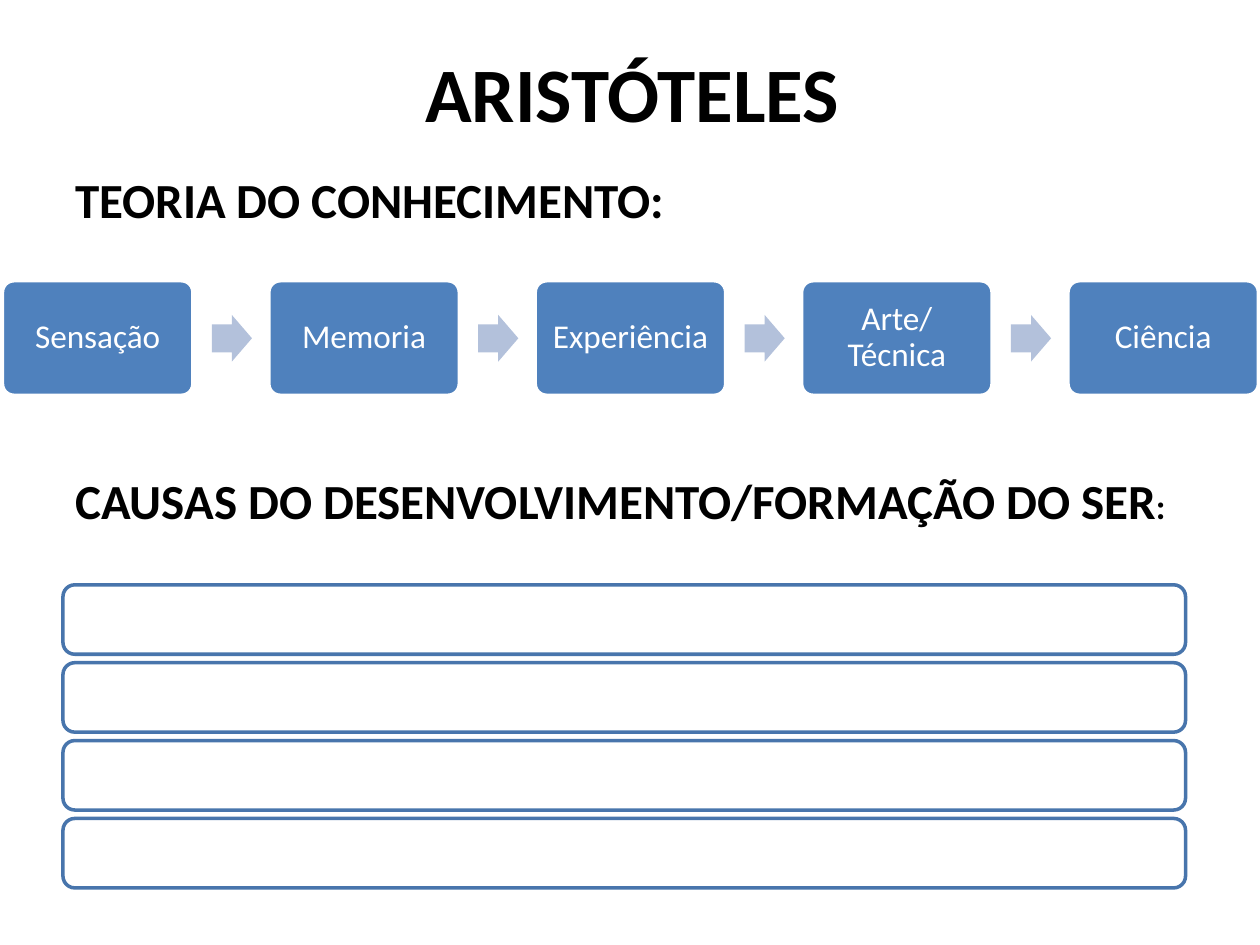
from dataclasses import dataclass

from pptx import Presentation
from pptx.dml.color import RGBColor as Rgb
from pptx.enum.shapes import MSO_SHAPE as Kind
from pptx.enum.text import MSO_ANCHOR as Anchor, PP_ALIGN as Align
from pptx.shapes.autoshape import Shape
from pptx.slide import Slide
from pptx.util import Cm, Pt

HUES = {"black": "000000", "white": "FFFFFF", "blue": "4F81BD",
        "pale": "B3C1DB", "edge": "4875AC"}
STEPS = ["Sensação", "Memoria", "Experiência", "Arte/ Técnica", "Ciência"]
STEP_GAP = 5.37
ROWS = 4
ROW_GAP = 1.57


@dataclass
class Box:
    """Position and size in centimetres."""
    left: float
    top: float
    width: float
    height: float

    def shift(self, right: float = 0, down: float = 0) -> "Box":
        """Return the box moved by the given lengths."""
        return Box(self.left + right, self.top + down, self.width, self.height)

    def spans(self) -> list[Cm]:
        """Return the four lengths for python-pptx."""
        return [Cm(n) for n in (self.left, self.top, self.width, self.height)]


@dataclass
class Words:
    """A run of text and its size in points."""
    text: str
    size: int
    bold: bool = True


@dataclass
class Label:
    """A text and its place on the slide."""
    box: Box
    words: list[Words]
    align: Align = Align.LEFT
    anchor: Anchor = Anchor.TOP


@dataclass
class Look:
    """Preset, fill, line and adjustments of a shape."""
    kind: Kind
    fill: str
    line: str | None
    adjust: tuple[float, ...]


STEP = Look(Kind.ROUNDED_RECTANGLE, "blue", "white", (0.1,))
ARROW = Look(Kind.RIGHT_ARROW, "pale", None, (0.6, 0.5))
ROW = Look(Kind.ROUNDED_RECTANGLE, "white", "edge", (0.17,))

STEP_BOX = Box(0.05, 5.66, 3.84, 2.31)
ARROW_BOX = Box(4.27, 6.35, 0.81, 0.94)
ROW_BOX = Box(1.27, 11.79, 22.63, 1.4)

LABELS = [
    Label(Box(1.32, 0.64, 22.86, 2.41), [Words("ARISTÓTELES", 44)],
          Align.CENTER, Anchor.MIDDLE),
    Label(Box(1.27, 3.3, 14.6, 1.45), [Words("TEORIA DO CONHECIMENTO:", 28)]),
    Label(Box(1.27, 9.37, 22.86, 1.45),
          [Words("CAUSAS DO DESENVOLVIMENTO/FORMAÇÃO DO SER", 28),
           Words(":", 20)]),
]


def tint(name: str) -> Rgb:
    """Look up a named colour."""
    return Rgb.from_string(HUES[name])


def apply(target: object, form: dict) -> None:
    """Set each attribute in the format on the target."""
    for name, value in form.items():
        setattr(target, name, value)


def write(shape: Shape, words: list[Words], hue: str, frame: dict,
          para: dict) -> None:
    """Fill a shape with one formatted paragraph."""
    body = shape.text_frame
    apply(body, {"word_wrap": True, **frame})
    line = body.paragraphs[0]
    apply(line, para)
    for word in words:
        run = line.add_run()
        run.text = word.text
        apply(run.font, {"name": "Calibri", "size": Pt(word.size),
                         "bold": word.bold})
        run.font.color.rgb = tint(hue)


def draw(slide: Slide, box: Box, look: Look) -> Shape:
    """Add a preset shape with its look."""
    shape = slide.shapes.add_shape(look.kind, *box.spans())
    shape.shadow.inherit = False
    for spot, value in enumerate(look.adjust):
        shape.adjustments[spot] = value
    shape.fill.solid()
    shape.fill.fore_color.rgb = tint(look.fill)
    if look.line:
        shape.line.color.rgb = tint(look.line)
        shape.line.width = Pt(2)
    else:
        shape.line.fill.background()
    return shape


def label(slide: Slide, item: Label) -> None:
    """Add a heading."""
    shape = slide.shapes.add_textbox(*item.box.spans())
    write(shape, item.words, "black", {"vertical_anchor": item.anchor},
          {"alignment": item.align})


def chain(slide: Slide) -> None:
    """Draw the steps with an arrow between each pair."""
    sides = ("left", "right", "top", "bottom")
    frame = {f"margin_{side}": Cm(0.26) for side in sides}
    frame["vertical_anchor"] = Anchor.MIDDLE
    para = {"alignment": Align.CENTER, "line_spacing": 0.9}
    for spot, name in enumerate(STEPS):
        if spot:
            draw(slide, ARROW_BOX.shift(right=(spot - 1) * STEP_GAP), ARROW)
        shape = draw(slide, STEP_BOX.shift(right=spot * STEP_GAP), STEP)
        write(shape, [Words(name, 19, False)], "white", frame, para)


def main() -> None:
    """Build and save the slide."""
    deck = Presentation()
    apply(deck, {"slide_width": Cm(25.4), "slide_height": Cm(19.05)})
    slide = deck.slides.add_slide(deck.slide_layouts[6])
    for item in LABELS:
        label(slide, item)
    chain(slide)
    for spot in range(ROWS):
        draw(slide, ROW_BOX.shift(down=spot * ROW_GAP), ROW)
    deck.save("out.pptx")


if __name__ == "__main__":
    main()
